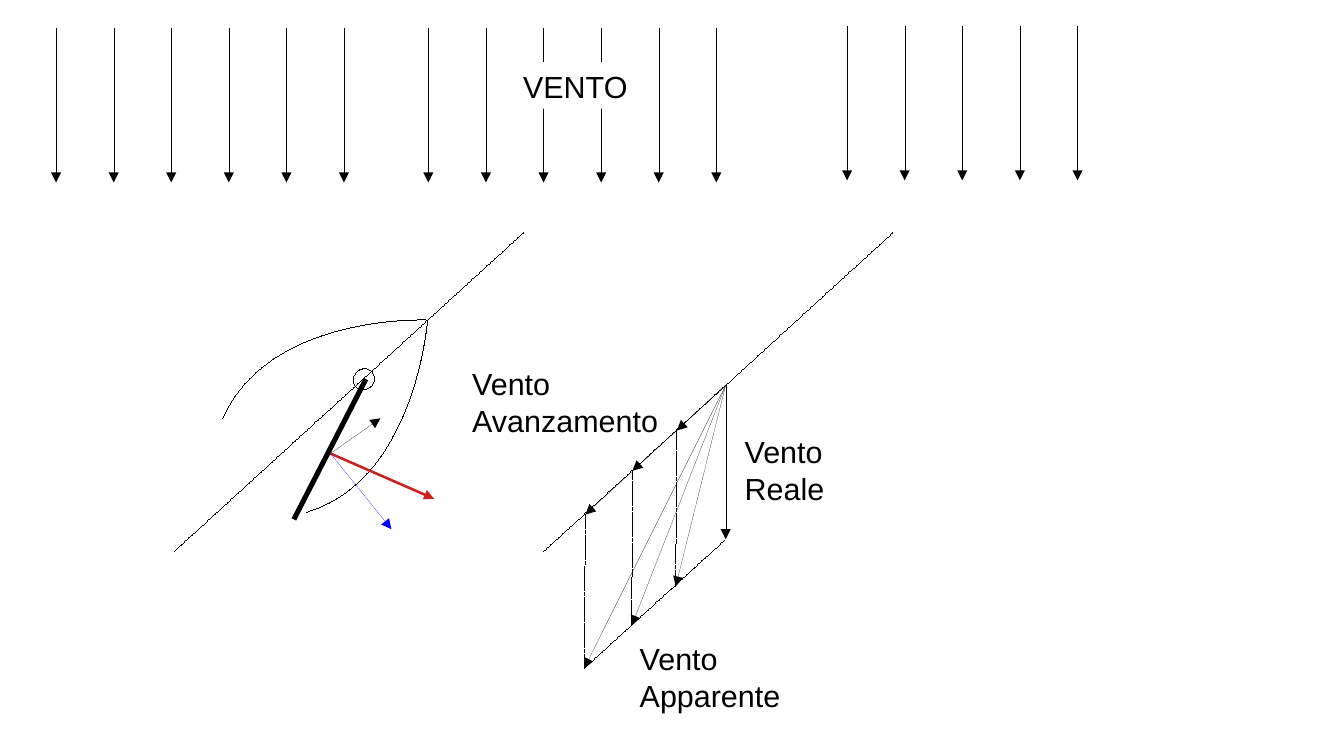
from dataclasses import dataclass

from lxml import etree
from pptx import Presentation
from pptx import util as u
from pptx.dml.color import RGBColor
from pptx.enum import dml, shapes, text
from pptx.oxml import ns

Point = tuple[float, float]


@dataclass
class Segment:
    start: Point
    end: Point
    color: str = "000000"
    width: float = 0
    arrow: bool = False
    dashed: bool = False


@dataclass
class WindRow:
    left: float
    top: float
    count: int


@dataclass
class Label:
    left: float
    top: float
    width: float
    height: float
    lines: list[str]
    fill: str | None = None


def rgb(color: str) -> RGBColor:
    return RGBColor.from_string(color)


def set_line(shape, color: str = "000000", width: float = 0) -> None:
    shape.line.color.rgb = rgb(color)
    # A zero width must be written out, or the theme's width applies
    outline = shape._element.spPr.find(ns.qn("a:ln"))
    outline.set("w", str(int(u.Pt(width))))


def draw_segment(page, segment: Segment) -> None:
    ends = [u.Pt(value) for value in (*segment.start, *segment.end)]
    connector = page.shapes.add_connector(shapes.MSO_CONNECTOR.STRAIGHT, *ends)
    set_line(connector, segment.color, segment.width)
    if segment.dashed:
        connector.line.dash_style = dml.MSO_LINE.SQUARE_DOT
    properties = connector._element.spPr
    if segment.arrow:
        outline = properties.find(ns.qn("a:ln"))
        etree.SubElement(outline, ns.qn("a:tailEnd"), type="triangle")
    etree.SubElement(properties, ns.qn("a:effectLst"))


def draw_curve(page, start: Point, control_1: Point, control_2: Point, end: Point) -> None:
    """Draw a cubic curve as a chain of short segments."""
    steps = 40
    points = []
    for step in range(steps + 1):
        t = step / steps
        weights = ((1 - t) ** 3, 3 * t * (1 - t) ** 2, 3 * t * t * (1 - t), t ** 3)
        corners = (start, control_1, control_2, end)
        points.append(tuple(
            u.Pt(sum(weight * corner[axis] for weight, corner in zip(weights, corners)))
            for axis in (0, 1)))
    builder = page.shapes.build_freeform(*points[0])
    builder.add_line_segments(points[1:], close=False)
    curve = builder.convert_to_shape()
    curve.shadow.inherit = False
    curve.fill.background()
    set_line(curve)


def draw_label(page, label: Label) -> None:
    place = [u.Pt(value) for value in (label.left, label.top, label.width, label.height)]
    box = page.shapes.add_textbox(*place)
    if label.fill:
        box.fill.solid()
        box.fill.fore_color.rgb = rgb(label.fill)
    frame = box.text_frame
    frame.word_wrap = label.fill is not None
    frame.auto_size = text.MSO_AUTO_SIZE.SHAPE_TO_FIT_TEXT
    frame.text = "\n".join(label.lines)
    for para in frame.paragraphs:
        para.font.name = "Arial"
        para.font.size = u.Pt(18)
        para.font.color.rgb = rgb("000000")


def draw_wind(page) -> None:
    spacing, length = 34, 91.2
    for row in (WindRow(33.1, 16.6, 6), WindRow(252.9, 16.6, 6), WindRow(500.1, 15.3, 5)):
        for index in range(row.count):
            x = row.left + index * spacing
            draw_segment(page, Segment((x, row.top), (x, row.top + length), arrow=True))
    draw_label(page, Label(301.7, 36.7, 82.8, 27.4, ["VENTO"], "FFFFFF"))


def draw_courses(page) -> None:
    for left in (103, 321.1):
        draw_segment(page, Segment((left, 325.4), (left + 205.9, 137.5), dashed=True))


def draw_boat(page) -> None:
    # Hull
    bow = (252.4, 189)
    draw_curve(page, (181.1, 302.4), (245.5, 283), bow, bow)
    draw_curve(page, (131.5, 247), (158.4, 185), bow, bow)
    # Mast and sail
    mast = page.shapes.add_shape(
        shapes.MSO_SHAPE.OVAL, u.Pt(208.8), u.Pt(217.4), u.Pt(12), u.Pt(13))
    mast.rotation = 228.3
    mast.shadow.inherit = False
    mast.fill.background()
    set_line(mast)
    draw_segment(page, Segment((216, 223.9), (173.5, 306.7), width=3))
    # Forces on the sail
    center = (195.1, 267.8)
    for force in (
        Segment(center, (256.3, 294.5), "C9211E", 1.5, arrow=True),
        Segment(center, (224.6, 247), arrow=True),
        Segment(center, (231.1, 312.5), "0000FF", arrow=True),
    ):
        draw_segment(page, force)


def draw_wind_triangles(page) -> None:
    origin, real = (428.4, 227.5), (428.4, 318.4)
    draw_segment(page, Segment(origin, real, arrow=True))
    pairs = (
        ((399.6, 254.2), (398.9, 346.3)),
        ((373.4, 278), (373, 369.4)),
        ((345.6, 303.8), (344.9, 394.6)),
    )
    for advance, apparent in pairs:
        draw_segment(page, Segment(origin, advance, arrow=True))
        draw_segment(page, Segment(advance, apparent, dashed=True))
        draw_segment(page, Segment(origin, apparent, arrow=True))
    draw_segment(page, Segment(pairs[-1][1], real, dashed=True))
    # Names of the three winds
    for label in (
        Label(432.5, 252.2, 62, 47.5, ["Vento", "Reale"]),
        Label(271.7, 212, 127, 47.5, ["Vento", "Avanzamento"]),
        Label(370.6, 374.4, 100, 47.5, ["Vento", "Apparente"]),
    ):
        draw_label(page, label)


def main() -> None:
    deck = Presentation()
    deck.slide_width, deck.slide_height = u.Pt(793.44), u.Pt(446.4)
    page = deck.slides.add_slide(deck.slide_layouts[6])
    draw_wind(page)
    draw_courses(page)
    draw_boat(page)
    draw_wind_triangles(page)
    deck.save("out.pptx")


if __name__ == "__main__":
    main()
